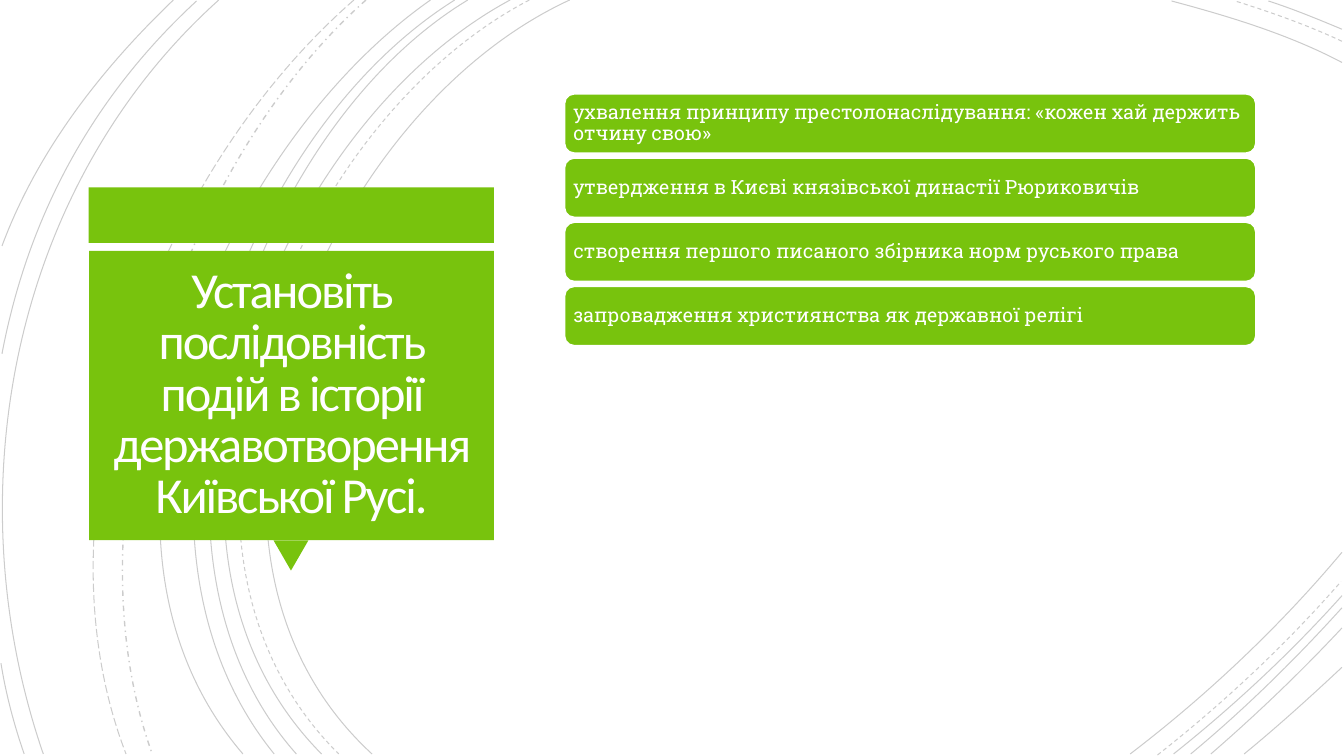
"""Build a slide asking to order events in the state-building of Kyivan Rus."""
from pptx import Presentation
from pptx.dml.color import RGBColor
from pptx.enum.dml import MSO_LINE_DASH_STYLE as DASH
from pptx.enum.shapes import MSO_SHAPE as SHAPE
from pptx.enum.text import MSO_ANCHOR as ANCHOR, PP_ALIGN as ALIGN
from pptx.oxml.ns import qn
from pptx.util import Inches, Pt
from lxml.etree import SubElement

GREEN = RGBColor(0x78, 0xC3, 0x0D)
BLACK = RGBColor(0, 0, 0)
WHITE = RGBColor(255, 255, 255)
TITLE_WHITE = RGBColor(255, 254, 255)

deck = Presentation()
deck.slide_width, deck.slide_height = Inches(13.33), Inches(7.5)
COL, ROW = deck.slide_width / 100, deck.slide_height / 100
slide = deck.slides.add_slide(deck.slide_layouts[6])


def add_block(kind, left, top, width, height):
    """Add a green preset shape measured in hundredths of the slide."""
    block = slide.shapes.add_shape(
        kind, int(left * COL), int(top * ROW), int(width * COL), int(height * ROW))
    block.shadow.inherit = False
    block.fill.solid()
    block.fill.fore_color.rgb = GREEN
    block.line.fill.background()
    return block


def write(block, text, *, font, size, color, align, spacing, inset, tracking=0):
    """Write one formatted paragraph into a block."""
    frame = block.text_frame
    frame.word_wrap = True
    frame.vertical_anchor = ANCHOR.MIDDLE
    frame.margin_left = frame.margin_right = Inches(inset)
    frame.margin_top = frame.margin_bottom = Inches(inset)
    paragraph = frame.paragraphs[0]
    paragraph.alignment, paragraph.line_spacing = align, spacing
    run = paragraph.add_run()
    run.text = text
    run.font.name, run.font.size, run.font.color.rgb = font, Pt(size), color
    if tracking:
        run.font._element.set("spc", str(int(tracking * 100)))


arcs = [
    (DASH.SOLID, 0.75, [
        [(5.65, 0), (3.15, 1.15), (1.43, 5.4), (3.69, 7.48)],
        [(13.31, 0.62), (12.78, 0.34), (12.18, 0.16), (11.62, 0.01)],
        [(11.21, 7.48), (11.97, 6.9), (12.69, 6.22), (13.31, 5.48)],
        [(5.06, 0), (2.7, 1.27), (1.1, 5.37), (3.19, 7.48)],
        [(13.31, 0.29), (13.07, 0.19), (12.83, 0.09), (12.58, 0.01)],
        [(11.64, 7.48), (12.23, 7.01), (12.8, 6.48), (13.31, 5.91)],
        [(4.64, 0), (2.44, 1.33), (1.1, 5.41), (2.94, 7.48)],
        [(11.81, 7.48), (12.34, 7.04), (12.84, 6.55), (13.31, 6.03)],
        [(4.51, 0), (2.31, 1.38), (0.97, 5.33), (2.72, 7.48)],
        [(12.01, 7.48), (12.46, 7.09), (12.9, 6.67), (13.31, 6.23)],
        [(4.27, 0), (2.17, 1.47), (0.53, 5.29), (2.41, 7.48)],
        [(12.34, 7.48), (12.67, 7.21), (12.99, 6.92), (13.31, 6.62)],
        [(2.17, 0), (0.11, 1.85), (-0.46, 4.9), (0.43, 7.48)],
        [(1.95, 0.01), (0.92, 0.96), (0.28, 2.14), (0.02, 3.51)],
        [(0.01, 6.58), (0.06, 6.89), (0.14, 7.19), (0.24, 7.48)],
        [(1.72, 0), (1, 0.69), (0.37, 1.5), (0.02, 2.44)],
    ]),
    (DASH.DASH, 0.75, [
        [(5.25, 0), (2.85, 1.25), (1.23, 5.37), (3.36, 7.48)],
        [(13.31, 0.41), (12.97, 0.25), (12.6, 0.12), (12.25, 0.01)],
        [(11.48, 7.49), (12.13, 6.98), (12.75, 6.4), (13.3, 5.77)],
    ]),
    (DASH.DASH_DOT, 1, [[(3.63, 0), (1.76, 1.66), (0.65, 5.09), (1.51, 7.48)]]),
    (DASH.LONG_DASH, 0.75, [[(3.51, 0), (1.57, 1.69), (0.29, 4.99), (1.25, 7.48)]]),
]
for dash, weight, curves in arcs:
    for curve in curves:
        start, *bends = [(Inches(x), Inches(y)) for x, y in curve]
        outline = slide.shapes.build_freeform(*start)
        outline.add_line_segments(bends, close=False)
        arc = outline.convert_to_shape()
        arc.shadow.inherit = False
        arc.fill.background()
        arc.line.color.rgb = BLACK
        arc.line.width, arc.line.dash_style = Pt(weight), dash
        ink = next(arc.line._ln.iter(qn("a:srgbClr")))
        SubElement(ink, qn("a:alpha")).set("val", "20000")
        route = next(arc._element.iter(qn("a:path")))
        segments = route.findall(qn("a:lnTo"))
        bezier = SubElement(route, qn("a:cubicBezTo"))
        for segment in segments:
            bezier.append(segment[0])
            route.remove(segment)

add_block(SHAPE.RECTANGLE, 6.6, 24.8, 30.15, 7.33)
pointer = add_block(SHAPE.ISOSCELES_TRIANGLE, 20.35, 71.47, 2.6, 4)
pointer.rotation = 180
question = add_block(SHAPE.RECTANGLE, 6.63, 33.2, 30.12, 38.27)
write(question, "Установіть послідовність подій в історії державотворення Київської Русі.",
      font="Calibri", size=36, color=TITLE_WHITE, align=ALIGN.CENTER,
      spacing=0.85, inset=0.19, tracking=-1.5)

events = [
    "ухвалення принципу престолонаслідування: «кожен хай держить отчину свою»",
    "утвердження в Києві князівської династії Рюриковичів",
    "створення першого писаного збірника норм руського права",
    "запровадження християнства як державної релігі",
]
for place, event in enumerate(events):
    card = add_block(SHAPE.ROUNDED_RECTANGLE, 42, 12.4 + 8.49 * place, 51.45, 7.87)
    card.line.color.rgb, card.line.width = WHITE, Pt(1.25)
    write(card, event, font="Roboto Slab", size=14, color=WHITE,
          align=ALIGN.LEFT, spacing=0.9, inset=0.06)

deck.save("out.pptx")
